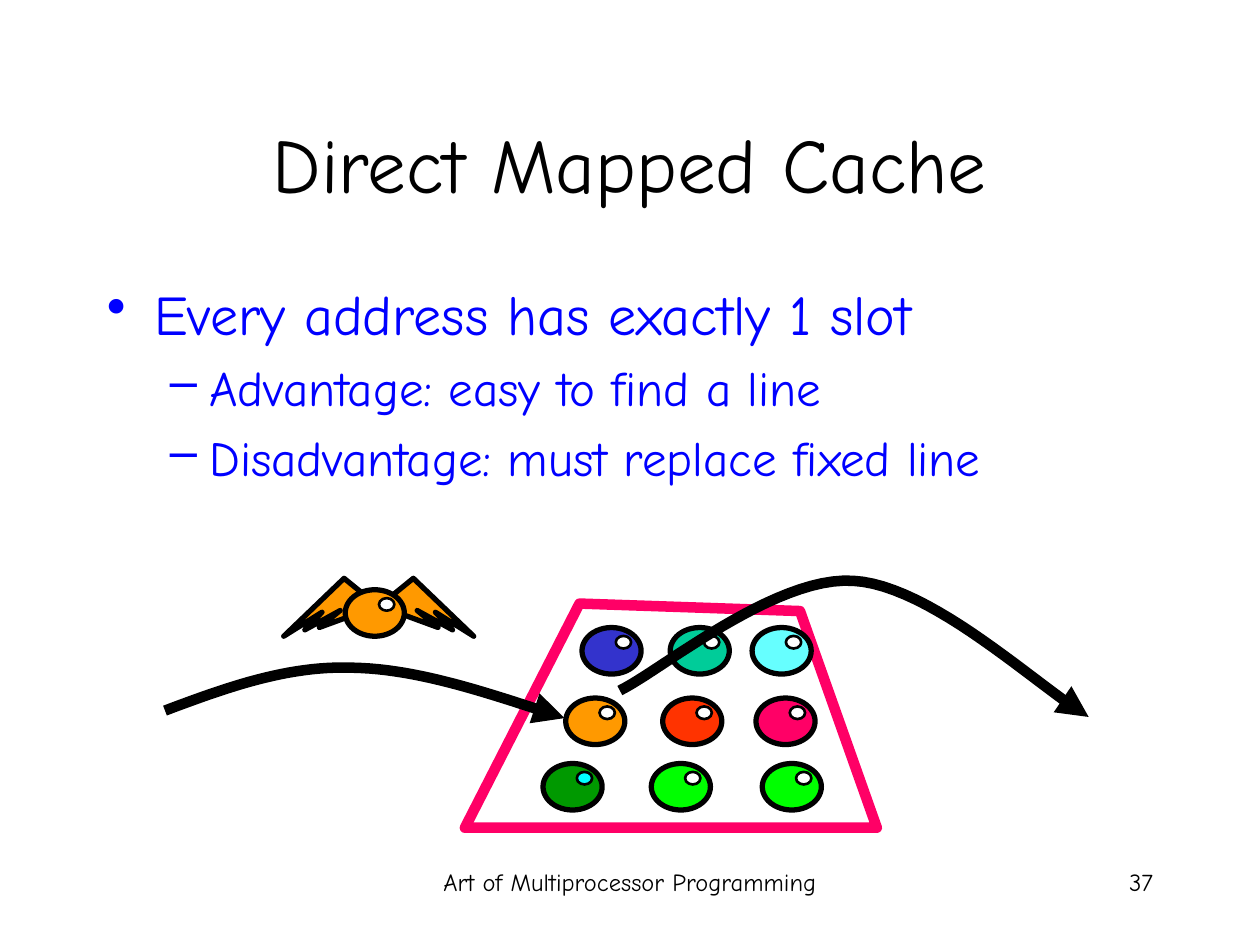
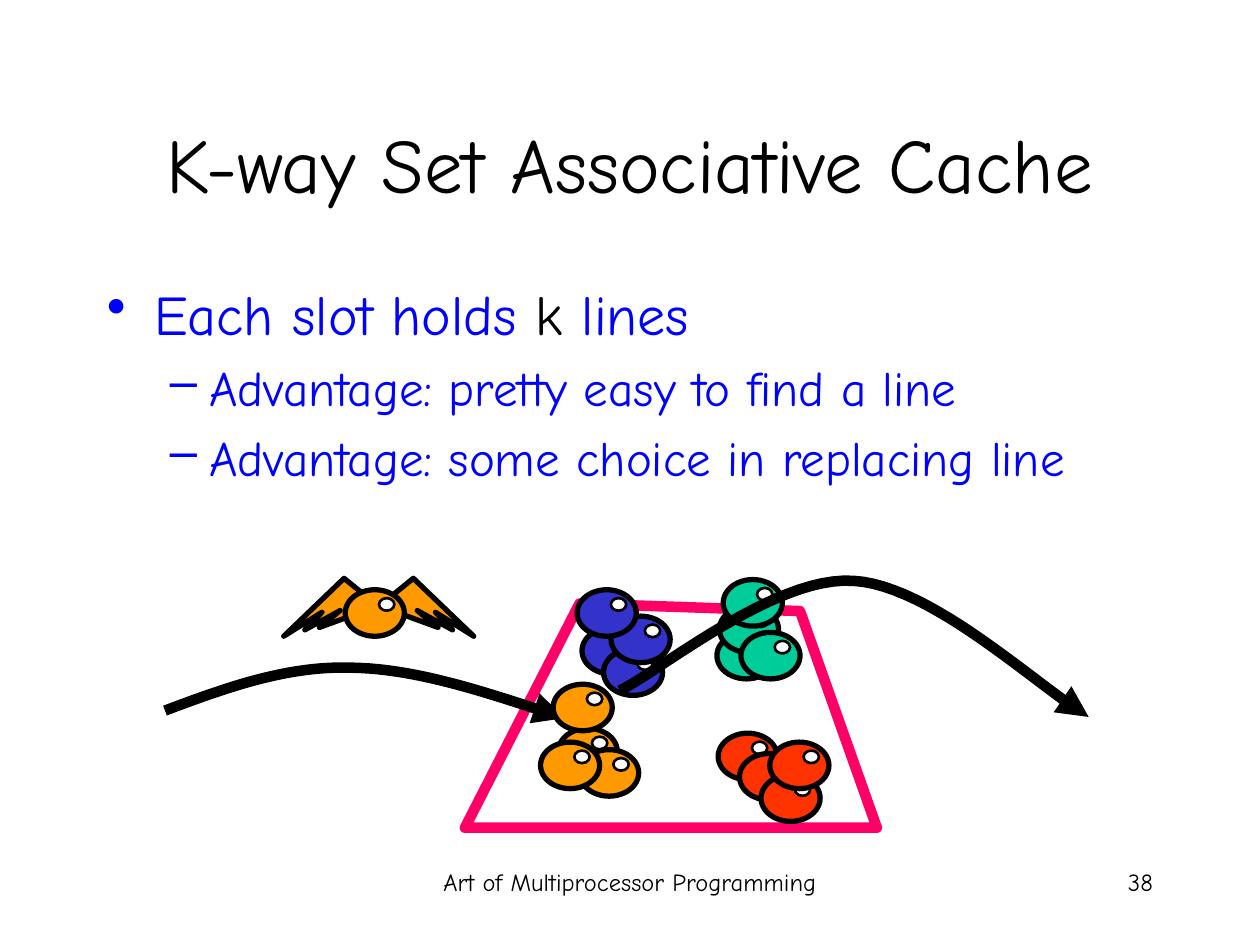
from pptx import Presentation
from pptx import util as u
from pptx.dml.color import RGBColor
from pptx.enum import shapes, text
from pptx.oxml.ns import qn
from lxml import etree

Pt = u.Pt

# Shared colours
BLACK, WHITE, BLUE, PINK = "000000", "FFFFFF", "0000FF", "FF0066"
ORANGE, RED, TEAL, INDIGO = "FF9900", "FF3300", "00CC99", "3333CC"
LIME, GREEN, CYAN, AQUA = "00FF00", "009900", "00FFFF", "66FFFF"

# Shared geometry, in points
BALL_WIDTH, BALL_HEIGHT = 33.8, 26.6
CACHE_OUTLINE = [(331.2, 344.9), (265.7, 473), (501.1, 473), (457.2, 349.2)]
BIRD_AXIS = 216.4
WING = [(4.3, 343.1), (19.8, 330.5), (54.3, 363.6), (32.4, 349.9),
        (42.2, 360), (22, 348.9), (33.9, 358.6), (0.3, 346.3)]
ARROW_IN = [(94.3, 406.1), (128.9, 393.1), (164.2, 380.2), (201.6, 381.6),
            (239.8, 382.3), (280.8, 396.7), (322.6, 410.4)]
ARROW_OUT = [(354.2, 394.6), (376.6, 383.8), (442.8, 329), (487.4, 331.9),
             (532.1, 334.1), (594, 393.1), (622.1, 409.7)]


def color(value):
    return RGBColor.from_string(value)


def curve_points(controls, steps=24):
    """Points along a chain of cubic Bezier curves."""
    points = [controls[0]]
    for start in range(0, len(controls) - 1, 3):
        bezier = controls[start:start + 4]
        for step in range(1, steps + 1):
            t = step / steps
            weights = ((1 - t) ** 3, 3 * t * (1 - t) ** 2, 3 * t * t * (1 - t), t ** 3)
            points.append(tuple(sum(w * p[axis] for w, p in zip(weights, bezier))
                                for axis in (0, 1)))
    return points


class Deck:
    font = "Comic Neue"
    footer = "Art of Multiprocessor Programming"
    # Size, left indent, hanging indent and bullet for each level
    levels = [(32, 27, 27, "•"), (28, 58.5, 22.5, "–")]

    def __init__(self):
        self.presentation = Presentation()
        self.presentation.slide_width = Pt(720)
        self.presentation.slide_height = Pt(540)
        self.slide = None

    def new_slide(self, title, number):
        layout = self.presentation.slide_layouts[6]
        self.slide = self.presentation.slides.add_slide(layout)
        self.label(self.footer, (246, 492, 228, 36), 14, text.PP_ALIGN.CENTER)
        self.label(str(number), (516, 492, 150, 36), 14, text.PP_ALIGN.RIGHT)
        frame = self.label(title, (54, 48, 612, 90), 44, text.PP_ALIGN.CENTER)
        frame.vertical_anchor = text.MSO_ANCHOR.MIDDLE

    # Text
    def text_frame(self, box):
        frame = self.slide.shapes.add_textbox(*map(Pt, box)).text_frame
        frame.word_wrap = True
        return frame

    def format_run(self, run, size, value):
        run.font.name = self.font
        run.font.size = Pt(size)
        run.font.color.rgb = color(value)

    def label(self, content, box, size, alignment):
        frame = self.text_frame(box)
        frame.text = content
        paragraph = frame.paragraphs[0]
        paragraph.alignment = alignment
        self.format_run(paragraph.runs[0], size, BLACK)
        return frame

    def bullets(self, items):
        """Each item is a level and its pieces, alternately blue and black."""
        frame = self.text_frame((54, 156, 612, 324))
        for index, (level, *pieces) in enumerate(items):
            paragraph = frame.add_paragraph() if index else frame.paragraphs[0]
            size, left, hanging, mark = self.levels[level]
            paragraph.level = level
            paragraph.space_before = Pt(round(size * 0.23, 1))
            for position, piece in enumerate(pieces):
                run = paragraph.add_run()
                run.text = piece
                self.format_run(run, size, BLACK if position % 2 else BLUE)
            properties = paragraph._p.get_or_add_pPr()
            properties.set("marL", str(Pt(left)))
            properties.set("indent", str(-Pt(hanging)))
            etree.SubElement(properties, qn("a:buChar")).set("char", mark)

    # Shapes
    def paint(self, shape, fill, line, width):
        shape.shadow.inherit = False
        if fill:
            shape.fill.solid()
            shape.fill.fore_color.rgb = color(fill)
        else:
            shape.fill.background()
        shape.line.color.rgb = color(line)
        shape.line.width = Pt(width)

    def outline(self, points, fill=None, line=BLACK, width=3, close=True, parent=None):
        corners = [(Pt(x), Pt(y)) for x, y in points]
        builder = (parent or self.slide).shapes.build_freeform(*corners[0])
        builder.add_line_segments(corners[1:], close=close)
        shape = builder.convert_to_shape()
        self.paint(shape, fill, line, width)
        return shape

    def ellipse(self, parent, box, fill, width):
        shape = parent.shapes.add_shape(shapes.MSO_SHAPE.OVAL, *map(Pt, box))
        self.paint(shape, fill, BLACK, width)

    def ball(self, left, top, fill, glint=WHITE, group=None):
        group = group or self.slide.shapes.add_group_shape()
        self.ellipse(group, (left, top, BALL_WIDTH, BALL_HEIGHT), fill, 3)
        self.ellipse(group, (left + 19.3, top + 4.8, 8.8, 7.2), glint, 1.5)

    def bird(self):
        group = self.slide.shapes.add_group_shape()
        for side in (1, -1):
            wing = [(BIRD_AXIS + side * x, y) for x, y in WING]
            self.outline(wing, fill=ORANGE, parent=group)
        self.ball(197.3, 337, ORANGE, group=group)

    def arrow(self, controls):
        shape = self.outline(curve_points(controls), width=6, close=False)
        line = shape.line._get_or_add_ln()
        etree.SubElement(line, qn("a:tailEnd")).set("type", "triangle")

    def cache(self, balls):
        """The cache, a line flying in, its balls and a line leaving."""
        self.outline(CACHE_OUTLINE, line=PINK, width=6)
        self.bird()
        self.arrow(ARROW_IN)
        for ball in balls:
            self.ball(*ball)
        self.arrow(ARROW_OUT)


def main():
    deck = Deck()

    # Direct mapped: one ball per slot
    deck.new_slide("Direct Mapped Cache", 37)
    deck.bullets([(0, "Every address has exactly 1 slot"),
                  (1, "Advantage: easy to find a line"),
                  (1, "Disadvantage: must replace fixed line")])
    rows = [(436.3, [(435.6, LIME), (372.2, LIME), (310.3, GREEN, CYAN)]),
            (398.9, [(432, PINK), (378.7, RED), (323.3, ORANGE)]),
            (358.6, [(429.8, AQUA), (383, TEAL), (332.6, INDIGO)])]
    deck.cache([(left, top, *fills) for top, row in rows for left, *fills in row])

    # Set associative: four balls per slot
    deck.new_slide("K-way Set Associative Cache", 38)
    deck.bullets([(0, "Each slot holds ", "k", " lines"),
                  (1, "Advantage: pretty easy to find a line"),
                  (1, "Advantage: some choice in replacing line")])
    slots = {
        TEAL: [(409.7, 361.4), (411.1, 346.3), (413.3, 331.2), (423.4, 361.4)],
        INDIGO: [(332.6, 358.6), (344.9, 370.8), (349.2, 352.1), (329.8, 337)],
        ORANGE: [(319, 416.2), (331.2, 428.4), (308.9, 424.1), (316.1, 391)],
        RED: [(410.4, 419), (422.6, 430.6), (434.9, 442.8), (439.9, 424.1)],
    }
    deck.cache([(*place, fill) for fill, places in slots.items() for place in places])

    deck.presentation.save("out.pptx")


if __name__ == "__main__":
    main()
